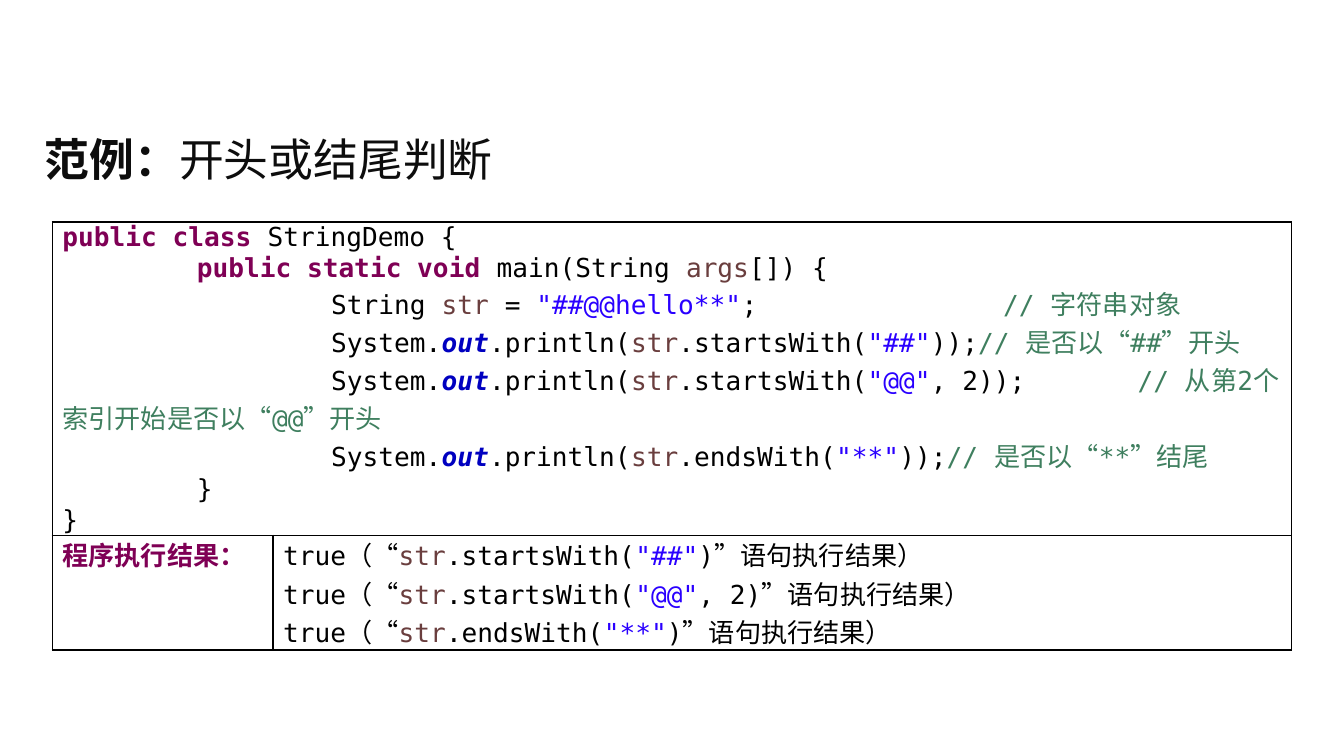
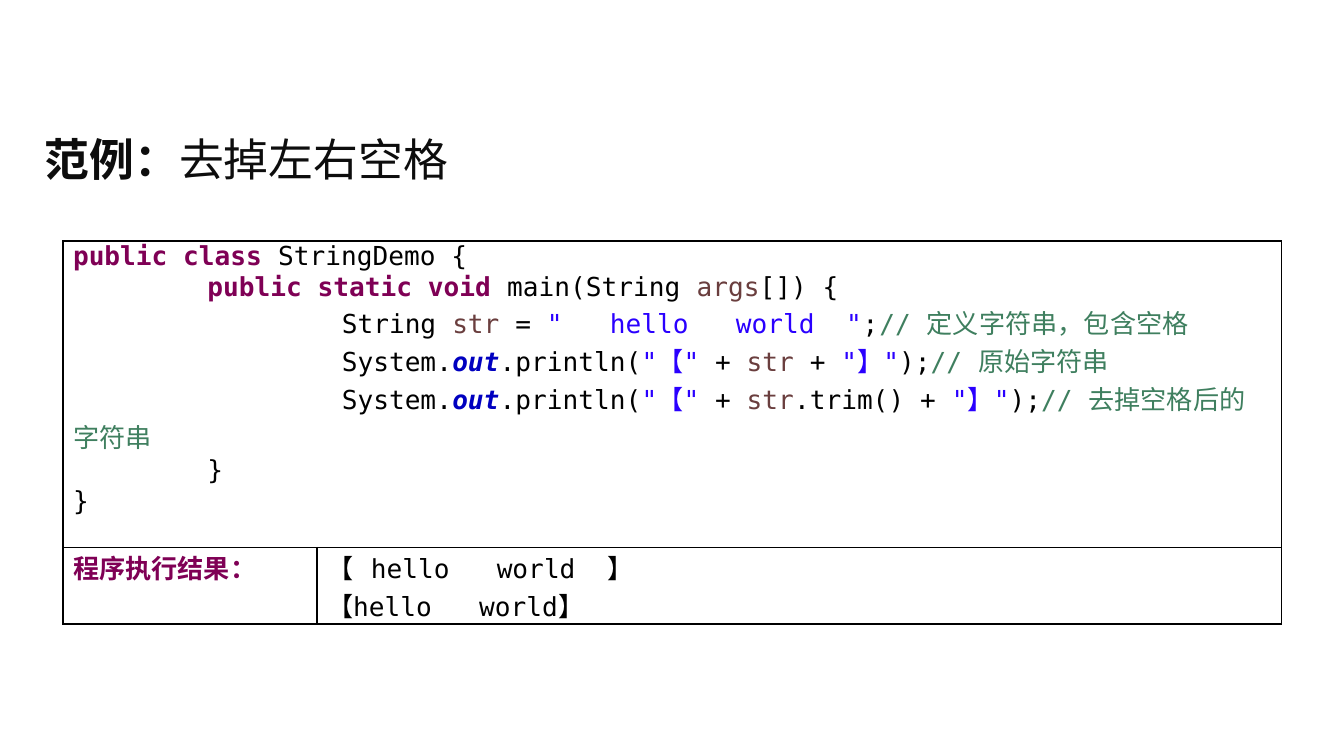
import pptx
import pptx.dml.color
import pptx.enum.text
import pptx.oxml
import pptx.oxml.ns
import pptx.util
from dataclasses import dataclass

Cm = pptx.util.Cm
Pt = pptx.util.Pt


@dataclass(frozen=True)
class Theme:
    title: str = "0D0D0D"
    plain: str = "000000"
    keyword: str = "7F0055"
    variable: str = "6A3E3E"
    string: str = "2A00FF"
    static: str = "0000C0"
    comment: str = "3F7F5F"
    code_font: str = "DejaVu Sans Mono"
    text_font: str = "Noto Sans CJK SC"
    title_size: int = 24
    code_size: int = 14
    border_width: int = 1
    tab_width: float = 2.54
    tab_count: int = 8


theme = Theme()

# Code is a list of lines; a line is a list of (token kind, text).
P, K, V, S, F, C = "plain", "keyword", "variable", "string", "static", "comment"
HEAD = [
    [(K, "public class "), (P, "StringDemo {")],
    [(P, "\t"), (K, "public static void"), (P, " main(String "), (V, "args"), (P, "[]) {")],
]
TAIL = [[(P, "\t}")], [(P, "}")]]
DECLARE = [(P, "\t\tString "), (V, "str"), (P, " = ")]
PRINT = [(P, "\t\tSystem."), (F, "out"), (P, ".println(")]
OPEN, CLOSE = (S, '"【"'), (S, '"】"')

# (method, argument, rest of the call, gap before the comment, comment)
checks = [
    (".startsWith(", '"##"', ")", "", "// 是否以“##”开头"),
    (".startsWith(", '"@@"', ", 2)", "\t", "// 从第2个索引开始是否以“@@”开头"),
    (".endsWith(", '"**"', ")", "", "// 是否以“**”结尾"),
]

examples = [
    {
        "title": "开头或结尾判断",
        "origin": (0.99, 4.2), "cols": (4.17, 19.25), "rows": (5.92, 2.1),
        "code": [DECLARE + [(S, '"##@@hello**"'), (P, ";\t\t"), (C, "// 字符串对象")]]
        + [PRINT + [(V, "str"), (P, method), (S, arg), (P, rest + ");" + gap), (C, note)]
           for method, arg, rest, gap, note in checks],
        "output": [[(P, "true（“"), (V, "str"), (P, method), (S, arg), (P, rest + "”语句执行结果）")]
                   for method, arg, rest, gap, note in checks],
    },
    {
        "title": "去掉左右空格",
        "origin": (1.19, 4.56), "cols": (4.8, 18.23), "rows": (5.79, 1.17),
        "code": [
            DECLARE + [(S, '"   hello   world  "'), (P, ";\t"), (C, "// 定义字符串，包含空格")],
            PRINT + [OPEN, (P, " + "), (V, "str"), (P, " + "), CLOSE, (P, ");"),
                     (C, "// 原始字符串")],
            PRINT + [OPEN, (P, " + "), (V, "str"), (P, ".trim() + "), CLOSE, (P, ");"),
                     (C, "// 去掉空格后的字符串")],
        ],
        "output": [[(P, "【   hello   world  】")], [(P, "【hello   world】")]],
    },
]

TAB_STOPS = "".join(f'<a:tab pos="{Cm(theme.tab_width * n)}" algn="l"/>'
                    for n in range(1, theme.tab_count + 1))


def add_run(p, text, font, size, color, bold=False, italic=False):
    r = p.add_run()
    r.text = text
    r.font.name, r.font.size = font, Pt(size)
    r.font.bold, r.font.italic = bold, italic
    r.font.color.rgb = pptx.dml.color.RGBColor.from_string(color)
    ea = pptx.oxml.parse_xml(
        f'<a:ea {pptx.oxml.ns.nsdecls("a")} typeface="{theme.text_font}"/>')
    r.font._element.find(pptx.oxml.ns.qn("a:latin")).addnext(ea)


def fill_cell(cell, lines):
    """Write highlighted lines into a cell and give it a plain bordered look."""
    cell.margin_left = cell.margin_right = Cm(0.19)
    cell.margin_top = cell.margin_bottom = 0
    cell.fill.background()
    tf = cell.text_frame
    for i, line in enumerate(lines):
        p = tf.add_paragraph() if i else tf.paragraphs[0]
        p._p.get_or_add_pPr().append(pptx.oxml.parse_xml(
            f'<a:tabLst {pptx.oxml.ns.nsdecls("a")}>{TAB_STOPS}</a:tabLst>'))
        for kind, text in line:
            add_run(p, text, theme.code_font, theme.code_size, getattr(theme, kind),
                    bold=kind in (K, F), italic=kind == F)
    tc_pr = cell._tc.get_or_add_tcPr()
    for i, side in enumerate(("lnL", "lnR", "lnT", "lnB")):
        tc_pr.insert(i, pptx.oxml.parse_xml(
            f'<a:{side} {pptx.oxml.ns.nsdecls("a")} w="{Pt(theme.border_width)}">'
            f'<a:solidFill><a:srgbClr val="{theme.plain}"/></a:solidFill></a:{side}>'))


prs = pptx.Presentation()
prs.slide_width, prs.slide_height = Cm(25.4), Cm(14.29)

for example in examples:
    s = prs.slides.add_slide(prs.slide_layouts[5])

    title = s.shapes.title
    title.left, title.top, title.width, title.height = Cm(0.59), Cm(2.18), Cm(24.2), Cm(1.63)
    tf = title.text_frame
    tf.auto_size = pptx.enum.text.MSO_AUTO_SIZE.NONE
    tf.vertical_anchor = pptx.enum.text.MSO_ANCHOR.MIDDLE
    p = tf.paragraphs[0]
    p.alignment = pptx.enum.text.PP_ALIGN.LEFT
    add_run(p, "范例：", theme.text_font, theme.title_size, theme.title, bold=True)
    add_run(p, example["title"], theme.text_font, theme.title_size, theme.title)

    left, top = example["origin"]
    table = s.shapes.add_table(2, 2, Cm(left), Cm(top), Cm(sum(example["cols"])),
                               Cm(sum(example["rows"]))).table
    table.first_row = table.horz_banding = False
    for column, width in zip(table.columns, example["cols"]):
        column.width = Cm(width)
    for row, height in zip(table.rows, example["rows"]):
        row.height = Cm(height)
    table.cell(0, 0).merge(table.cell(0, 1))
    fill_cell(table.cell(0, 0), HEAD + example["code"] + TAIL)
    fill_cell(table.cell(0, 1), [])
    fill_cell(table.cell(1, 0), [[(K, "程序执行结果：")]])
    fill_cell(table.cell(1, 1), example["output"])

prs.save("out.pptx")
